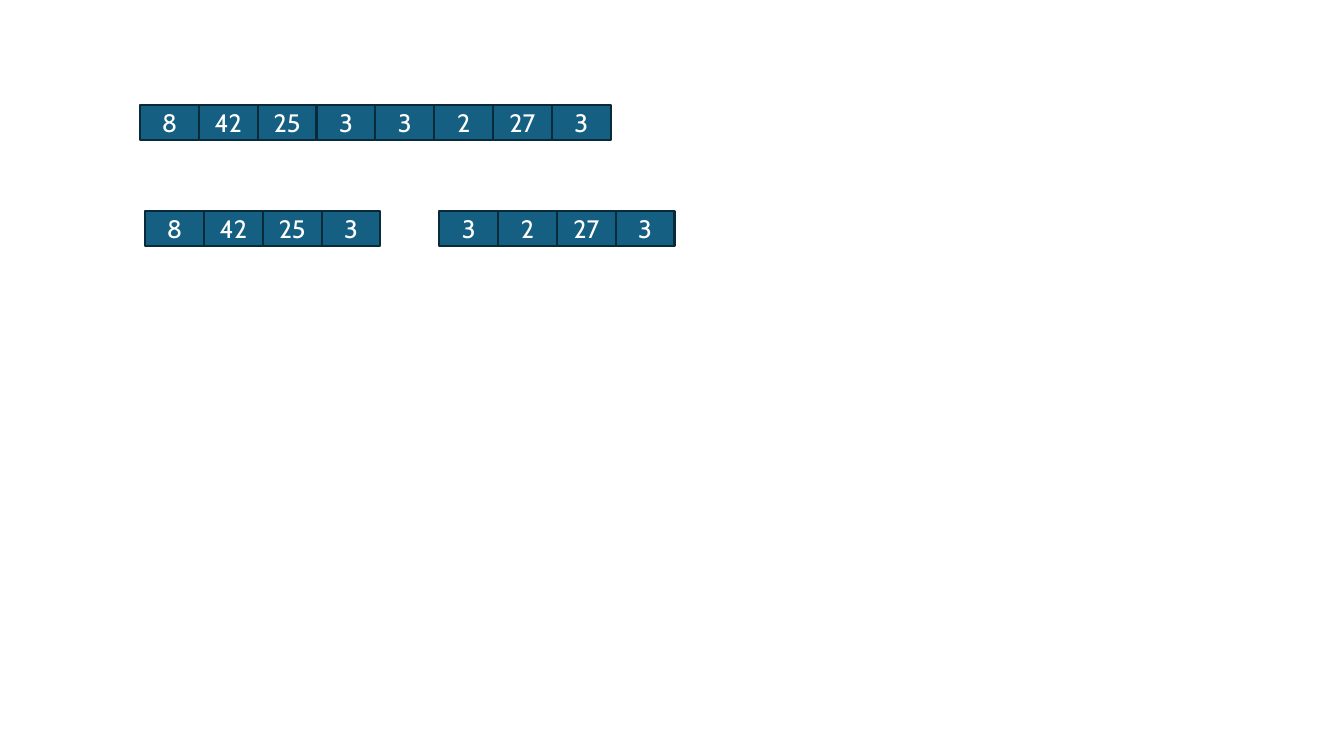
from pptx import Presentation
from pptx import util as u
from pptx.dml.color import RGBColor
from pptx.enum import shapes, text

CELL_W, CELL_H = 7 / 12, 0.35
VALUES = [8, 42, 25, 3, 3, 2, 27, 3]


def color(hex_code):
    return RGBColor.from_string(hex_code)


def add_cell(s, left, top, value):
    sp = s.shapes.add_shape(shapes.MSO_SHAPE.RECTANGLE, u.Inches(left), u.Inches(top),
                            u.Inches(CELL_W), u.Inches(CELL_H))
    sp.shadow.inherit = False
    sp.fill.solid()
    sp.fill.fore_color.rgb = color("156082")
    sp.line.color.rgb = color("092A39")
    sp.line.width = u.Pt(1.5)
    tf = sp.text_frame
    tf.vertical_anchor = text.MSO_ANCHOR.MIDDLE
    p = tf.paragraphs[0]
    p.text = str(value)
    p.alignment = text.PP_ALIGN.CENTER
    p.font.name = "Cabin"
    p.font.size = u.Pt(18)
    p.font.color.rgb = color("FFFFFF")


def add_array(s, left, top, values):
    """Draw the values as a row of adjoining cells."""
    for i, value in enumerate(values):
        add_cell(s, left + i * CELL_W, top, value)


def main():
    prs = Presentation()
    prs.slide_width, prs.slide_height = u.Inches(13.33), u.Inches(7.5)
    s = prs.slides.add_slide(prs.slide_layouts[6])

    add_array(s, 1.39, 1.04, VALUES)

    # The halves stand one cell apart
    half = len(VALUES) // 2
    halves_left, halves_top = 1.44, 2.09
    add_array(s, halves_left, halves_top, VALUES[:half])
    add_array(s, halves_left + (half + 1) * CELL_W, halves_top, VALUES[half:])

    prs.save("out.pptx")


if __name__ == "__main__":
    main()
